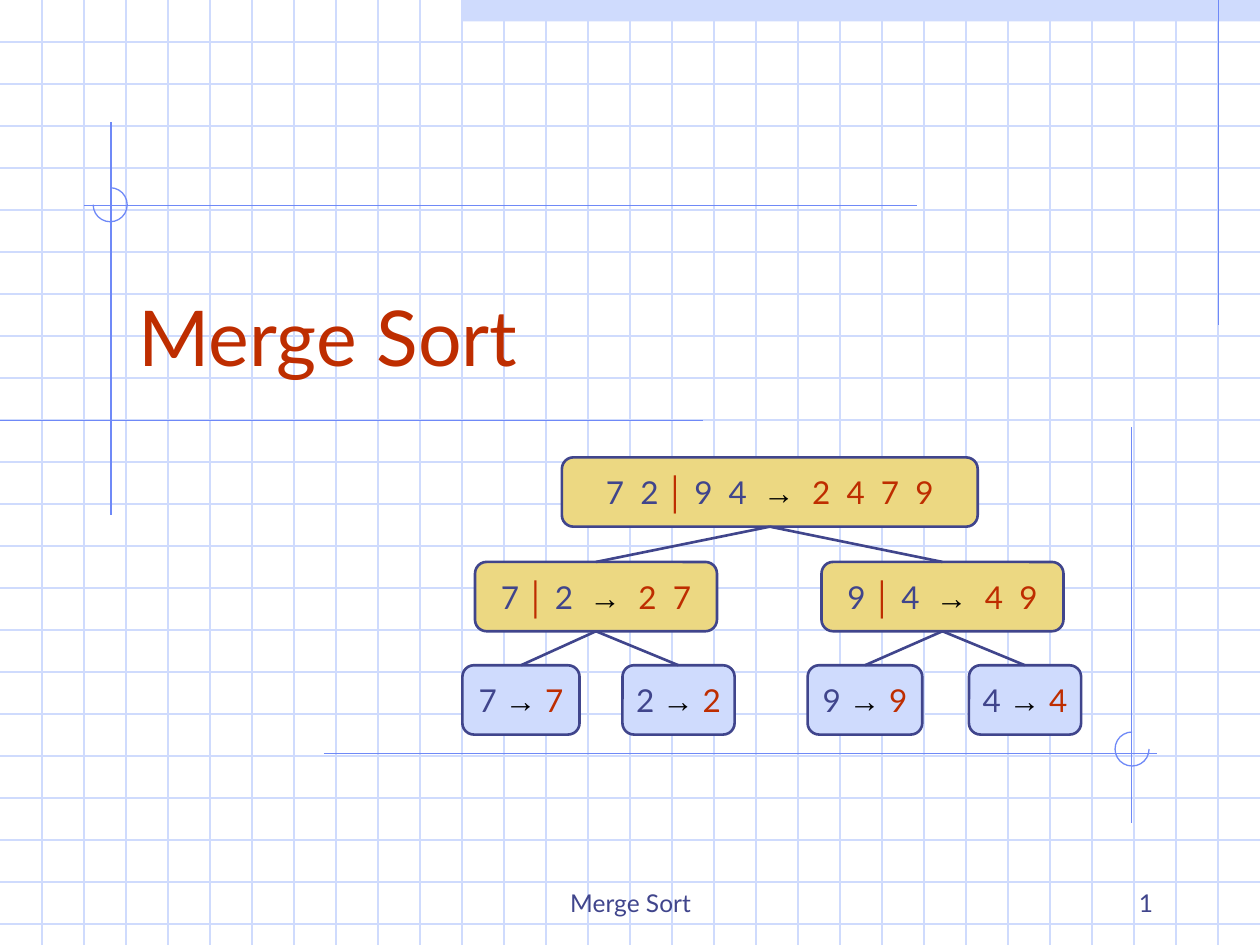
import dataclasses
import typing

import pptx
import pptx.dml.color
import pptx.enum.shapes
import pptx.enum.text
import pptx.oxml
import pptx.oxml.ns
import pptx.util

Inches = pptx.util.Inches
Pt = pptx.util.Pt
Preset = pptx.enum.shapes.MSO_SHAPE
Align = pptx.enum.text.PP_ALIGN
Anchor = pptx.enum.text.MSO_ANCHOR
Point = tuple[float, float]


@dataclasses.dataclass(frozen=True)
class Theme:
    pale: str = "CFDBFD"
    rule: str = "6F89F7"
    navy: str = "40458C"
    red: str = "BE2D00"
    gold: str = "ECD882"
    black: str = "000000"
    font: str = "Lato"
    symbol_font: str = "Arial"
    title_size: int = 44
    node_size: int = 18
    footer_size: int = 14
    thin: float = 0.75
    thick: float = 1.5


THEME = Theme()
WIDTH, HEIGHT = 10, 7.5
NODE_HEIGHT = 0.55
ANGLE_UNIT = 0.6  # one degree in the adjustment scale of an arc


@dataclasses.dataclass(frozen=True)
class Step:
    """One call of merge sort: its place, its input, its output, its halves."""
    left: float
    top: float
    width: float
    unsorted: str
    arrow: str
    merged: str
    halves: tuple["Step", ...] = ()

    @property
    def centre(self) -> float:
        return self.left + self.width / 2


class Run(typing.NamedTuple):
    text: str
    color: str
    size: int
    symbol: bool = False


SORT_TREE = Step(4.46, 3.63, 3.3, "7  2 │ 9  4  ", "→  ", "2  4  7  9", (
    Step(3.77, 4.46, 1.92, "7 │ 2  ", "→  ", "2  7", (
        Step(3.67, 5.28, 0.93, "7 ", "→ ", "7"),
        Step(4.94, 5.28, 0.89, "2 ", "→ ", "2"))),
    Step(6.52, 4.46, 1.92, "9 │ 4  ", "→  ", "4  9", (
        Step(6.41, 5.28, 0.91, "9 ", "→ ", "9"),
        Step(7.69, 5.28, 0.89, "4 ", "→ ", "4")))))

RULES: list[tuple[Point, Point]] = [
    ((9.67, 0), (9.67, 2.58)),
    ((0.88, 0.97), (0.88, 4.09)),
    ((0, 3.34), (5.58, 3.34)),
    ((0.67, 1.63), (7.28, 1.63)),
    ((2.57, 5.98), (9.18, 5.98)),
    ((8.98, 3.39), (8.98, 6.53)),
]


def rgb(color: str) -> pptx.dml.color.RGBColor:
    return pptx.dml.color.RGBColor.from_string(color)


def draw_line(slide, start: Point, end: Point, color: str, weight: float) -> None:
    line = slide.shapes.add_connector(
        pptx.enum.shapes.MSO_CONNECTOR.STRAIGHT, *map(Inches, start + end))
    line.line.color.rgb = rgb(color)
    line.line.width = Pt(weight)
    line._element.spPr.append(pptx.oxml.parse_xml(
        f'<a:effectLst {pptx.oxml.ns.nsdecls("a")}/>'))


def draw_shape(slide, preset, box: tuple[float, ...], fill: str | None = None,
               line: str | None = None, weight: float = THEME.thin):
    shape = slide.shapes.add_shape(preset, *map(Inches, box))
    shape.shadow.inherit = False
    if fill:
        shape.fill.solid()
        shape.fill.fore_color.rgb = rgb(fill)
    else:
        shape.fill.background()
    if line:
        shape.line.color.rgb = rgb(line)
        shape.line.width = Pt(weight)
    else:
        shape.line.fill.background()
    return shape


def write(frame, runs: list[Run], align, anchor, wrap: bool = True) -> None:
    frame_format = {
        "word_wrap": wrap,
        "vertical_anchor": anchor,
        "auto_size": pptx.enum.text.MSO_AUTO_SIZE.NONE,
        "margin_left": Inches(0.1), "margin_right": Inches(0.1),
        "margin_top": Inches(0.05), "margin_bottom": Inches(0.05),
    }
    for attribute, value in frame_format.items():
        setattr(frame, attribute, value)
    paragraph = frame.paragraphs[0]
    paragraph.alignment = align
    for part in runs:
        run = paragraph.add_run()
        run.text = part.text
        run_format = {
            "name": THEME.symbol_font if part.symbol else THEME.font,
            "size": Pt(part.size),
            "bold": part.symbol,
        }
        for attribute, value in run_format.items():
            setattr(run.font, attribute, value)
        run.font.color.rgb = rgb(part.color)


def draw_background(slide) -> None:
    # Top band and graph paper, three squares to the inch
    draw_shape(slide, Preset.RECTANGLE, (3.67, 0, 6.33, 0.17), fill=THEME.pale)
    for row in range(1, 23):
        draw_line(slide, (0, row / 3), (WIDTH, row / 3), THEME.pale, THEME.thin)
    for column in range(1, 30):
        draw_line(slide, (column / 3, 0), (column / 3, HEIGHT), THEME.pale, THEME.thin)
    # Drafting rules and the three-quarter circles where they cross
    for start, end in RULES:
        draw_line(slide, start, end, THEME.rule, THEME.thin)
    for left, top, first, last in ((0.74, 1.49, 270, 180), (8.85, 5.81, 0, 270)):
        arc = draw_shape(slide, Preset.ARC, (left, top, 0.27, 0.27), line=THEME.rule)
        arc.adjustments[0] = first * ANGLE_UNIT
        arc.adjustments[1] = last * ANGLE_UNIT


def step_runs(step: Step) -> list[Run]:
    size = THEME.node_size
    before, bar, after = step.unsorted.partition("│")
    runs = [Run(before, THEME.navy, size), Run(bar, THEME.red, size, True),
            Run(after, THEME.navy, size), Run(step.arrow, THEME.black, size, True),
            Run(step.merged, THEME.red, size)]
    return [run for run in runs if run.text]


def draw_step(slide, step: Step) -> None:
    node = draw_shape(slide, Preset.ROUNDED_RECTANGLE,
                      (step.left, step.top, step.width, NODE_HEIGHT),
                      fill=THEME.gold if step.halves else THEME.pale,
                      line=THEME.navy, weight=THEME.thick)
    write(node.text_frame, step_runs(step), Align.CENTER, Anchor.MIDDLE, wrap=False)
    for half in step.halves:
        draw_step(slide, half)
        draw_line(slide, (step.centre, step.top + NODE_HEIGHT),
                  (half.centre, half.top), THEME.navy, THEME.thick)


def main() -> None:
    deck = pptx.Presentation()
    deck.slide_width, deck.slide_height = Inches(WIDTH), Inches(HEIGHT)
    slide = deck.slides.add_slide(deck.slide_layouts[5])
    draw_background(slide)

    # Title, brought in front of the graph paper
    title = slide.shapes.title
    title_box = {"left": 1, "top": 1.83, "width": 8.5, "height": 1.25}
    for attribute, value in title_box.items():
        setattr(title, attribute, Inches(value))
    write(title.text_frame, [Run("Merge Sort", THEME.red, THEME.title_size)],
          Align.LEFT, Anchor.BOTTOM)
    slide.shapes._spTree.append(title._element)

    # Merge sort tree
    draw_step(slide, SORT_TREE)

    # Footer and page number
    for text, left, width, align in (("Merge Sort", 3.42, 3.17, Align.CENTER),
                                     ("1", 7.17, 2.08, Align.RIGHT)):
        footer = slide.shapes.add_textbox(*map(Inches, (left, 6.83, width, 0.5)))
        write(footer.text_frame, [Run(text, THEME.navy, THEME.footer_size)],
              align, Anchor.BOTTOM)

    deck.save("out.pptx")


if __name__ == "__main__":
    main()
